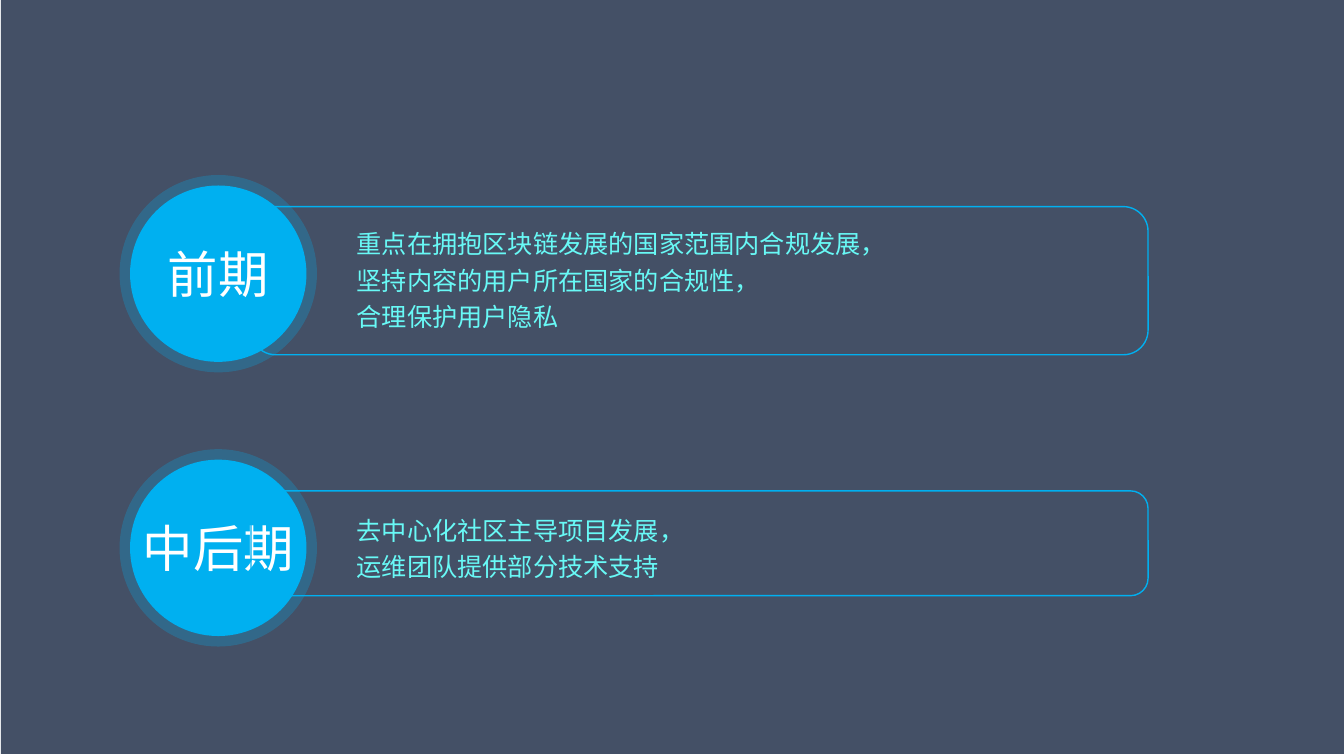
from dataclasses import dataclass

from lxml import etree
from pptx import Presentation
from pptx.dml.color import RGBColor
from pptx.enum.shapes import MSO_SHAPE
from pptx.enum.text import MSO_ANCHOR, MSO_AUTO_SIZE, PP_ALIGN
from pptx.oxml.ns import qn
from pptx.util import Pt

RECT, PANEL, CIRCLE = MSO_SHAPE.RECTANGLE, MSO_SHAPE.ROUNDED_RECTANGLE, MSO_SHAPE.OVAL
MIDDLE, CENTER = MSO_ANCHOR.MIDDLE, PP_ALIGN.CENTER
GROW = MSO_AUTO_SIZE.SHAPE_TO_FIT_TEXT


@dataclass(frozen=True)
class Theme:
    font: str = "Noto Sans CJK SC"
    backdrop: RGBColor = RGBColor(0x16, 0x25, 0x40)
    accent: RGBColor = RGBColor(0x00, 0xB0, 0xF0)
    body: RGBColor = RGBColor(0x68, 0xF9, 0xF6)
    white: RGBColor = RGBColor(0xFF, 0xFF, 0xFF)
    label_size: float = 36
    body_size: float = 18
    line_spacing: float = 1.2
    backdrop_opacity: int = 80
    ring_opacity: int = 25
    ring_width: float = 15
    panel_line: float = 1


@dataclass(frozen=True)
class Phase:
    label: str
    lines: tuple[str, ...]
    circle_top: float
    panel_top: float
    panel_height: float
    text_top: float
    text_width: float
    panel_in_front: bool


THEME = Theme()
CIRCLE_LEFT, DIAMETER = 92.88, 126
PANEL_LEFT, PANEL_WIDTH = 179.28, 640.8
TEXT_LEFT, TEXT_HEIGHT = 247.68, 83.52

PHASES = (
    Phase("前期",
          ("重点在拥抱区块链发展的国家范围内合规发展，",
           "坚持内容的用户所在国家的合规性，",
           "合理保护用户隐私"),
          132.48, 147.6, 105.84, 155.52, 396, False),
    Phase("中后期",
          ("去中心化社区主导项目发展，",
           "运维团队提供部分技术支持"),
          328.32, 350.64, 74.88, 360, 250.56, True),
)


def set_opacity(fill, percent: int) -> None:
    """Make a solid fill, of a shape or a line, partly transparent."""
    color = fill._xPr.find(qn("a:solidFill"))[0]
    etree.SubElement(color, qn("a:alpha")).set("val", str(percent * 1000))


def add_box(s, kind, left: float, top: float, width: float, height: float):
    sp = s.shapes.add_shape(kind, Pt(left), Pt(top), Pt(width), Pt(height))
    sp.shadow.inherit = False
    return sp


def add_run(p, text: str, size: float, color: RGBColor) -> None:
    r = p.add_run()
    r.text = text
    r.font.size = Pt(size)
    r.font.color.rgb = color
    r.font.name = THEME.font
    etree.SubElement(r.font._element, qn("a:ea")).set("typeface", THEME.font)


def add_backdrop(s) -> None:
    sp = add_box(s, RECT, 0.72, -1.44, 971.28, 540)
    sp.fill.solid()
    sp.fill.fore_color.rgb = THEME.backdrop
    set_opacity(sp.fill, THEME.backdrop_opacity)
    sp.line.fill.background()


def add_panel(s, phase: Phase) -> None:
    sp = add_box(s, PANEL, PANEL_LEFT, phase.panel_top, PANEL_WIDTH, phase.panel_height)
    sp.fill.background()
    sp.line.color.rgb = THEME.accent
    sp.line.width = Pt(THEME.panel_line)


def add_circle(s, phase: Phase) -> None:
    sp = add_box(s, CIRCLE, CIRCLE_LEFT, phase.circle_top, DIAMETER, DIAMETER)
    sp.fill.solid()
    sp.fill.fore_color.rgb = THEME.accent
    sp.line.color.rgb = THEME.accent
    sp.line.width = Pt(THEME.ring_width)
    set_opacity(sp.line.fill, THEME.ring_opacity)
    tf = sp.text_frame
    tf.word_wrap = False
    tf.vertical_anchor = MIDDLE
    p = tf.paragraphs[0]
    p.alignment = CENTER
    add_run(p, phase.label, THEME.label_size, THEME.white)


def add_body(s, phase: Phase) -> None:
    sp = s.shapes.add_textbox(Pt(TEXT_LEFT), Pt(phase.text_top),
                              Pt(phase.text_width), Pt(TEXT_HEIGHT))
    tf = sp.text_frame
    tf.word_wrap = False
    tf.auto_size = GROW
    for i, line in enumerate(phase.lines):
        p = tf.add_paragraph() if i else tf.paragraphs[0]
        p.line_spacing = THEME.line_spacing
        add_run(p, line, THEME.body_size, THEME.body)


def main() -> None:
    prs = Presentation()
    prs.slide_width, prs.slide_height = Pt(960), Pt(540)
    s = prs.slides.add_slide(prs.slide_layouts[6])
    add_backdrop(s)
    for phase in PHASES:
        layers = (add_circle, add_panel) if phase.panel_in_front else (add_panel, add_circle)
        for add_layer in layers:
            add_layer(s, phase)
    for phase in PHASES:
        add_body(s, phase)
    prs.save("out.pptx")


if __name__ == "__main__":
    main()
